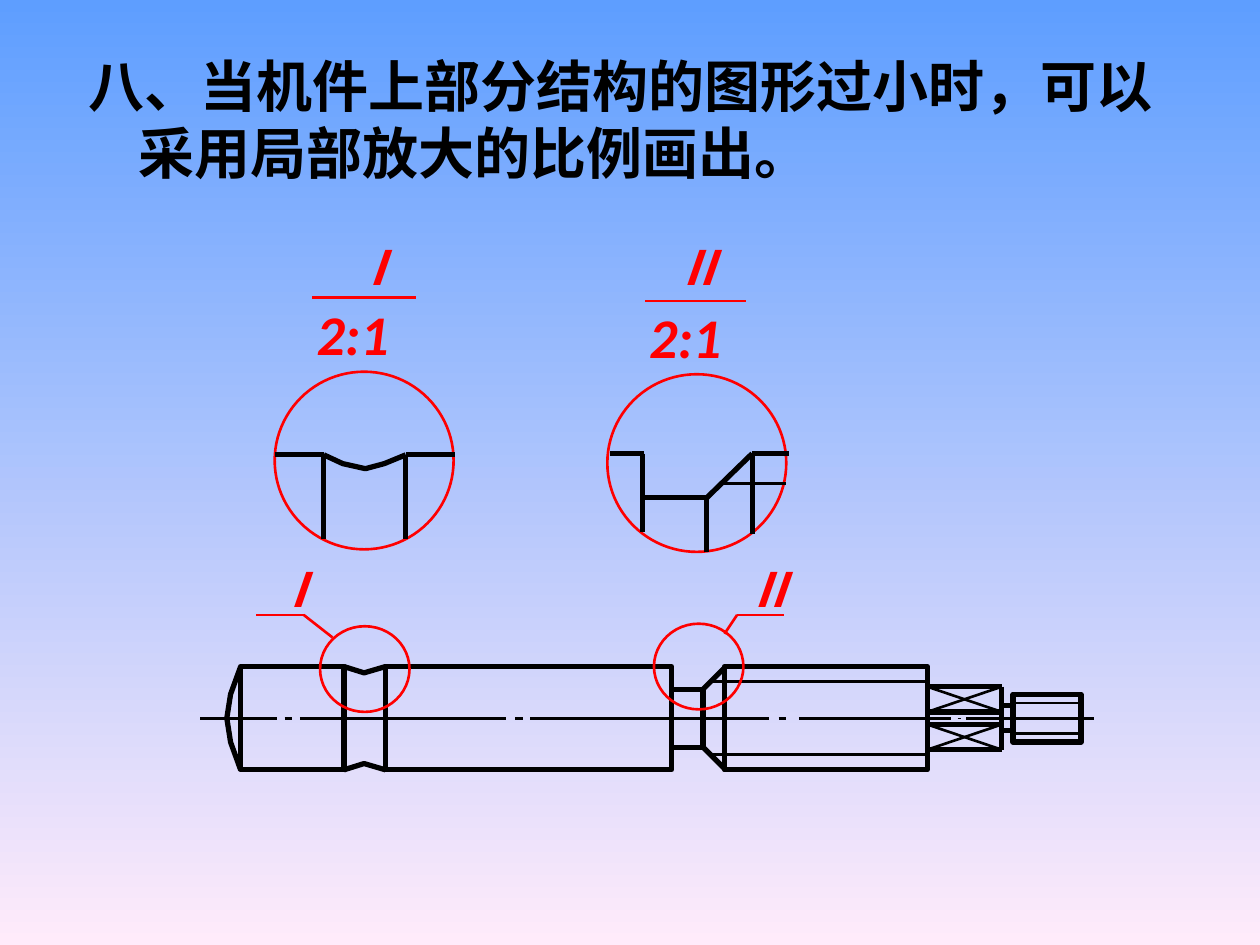
from dataclasses import dataclass
from itertools import pairwise

from lxml import etree
from pptx import Presentation
from pptx import util as u
from pptx.dml.color import RGBColor
from pptx.enum import shapes, text
from pptx.oxml.ns import qn


@dataclass(frozen=True)
class Theme:
    ink: str = "000000"
    mark: str = "FF0000"
    sky: tuple = ("5E9EFF", "FFEBFA")
    cjk: str = "Noto Sans CJK SC"
    latin: str = "Calibri"
    title: int = 32
    ratio: int = 32
    numeral: int = 27
    thick: float = 3
    thin: float = 1.5
    leading: float = 1.2


THEME = Theme()
WIDTH, HEIGHT = 10, 7.5
AXIS = 5.7
TITLE = [("八、当机件上部分结构的图形过小时，可以", 0), ("采用局部放大的比例画出。", 0.4)]

DETAILS = [
    {"numeral": "Ⅰ", "numeral_at": (2.8, 1.89), "ratio_at": (2.4, 2.38),
     "bar": [(2.48, 2.36), (3.3, 2.36)], "circle": (2.18, 2.95),
     "thick": [[(3.22, 3.61), (3.61, 3.61)], [(3.22, 3.61), (3.22, 4.28)],
               [(2.57, 3.61), (2.57, 4.28)], [(2.18, 3.61), (2.57, 3.61)],
               [(2.57, 3.61), (2.72, 3.68), (2.9, 3.72), (3.05, 3.68), (3.22, 3.61)]],
     "thin": [],
     "label_at": (2.18, 4.45), "leader": [(2.64, 5.06), (2.41, 4.88), (2.03, 4.88)],
     "spot": (2.54, 4.97)},
    {"numeral": "Ⅱ", "numeral_at": (5.36, 1.89), "ratio_at": (5.04, 2.4),
     "bar": [(5.12, 2.39), (5.92, 2.39)], "circle": (4.82, 2.97),
     "thick": [[(5.61, 3.95), (5.61, 4.38)], [(5.97, 3.6), (5.97, 4.24)],
               [(5.1, 3.6), (5.1, 4.22)], [(5.97, 3.6), (6.26, 3.6)],
               [(5.1, 3.95), (5.61, 3.95)], [(5.61, 3.95), (5.97, 3.6)],
               [(4.84, 3.6), (5.11, 3.6)]],
     "thin": [[(5.72, 3.84), (6.24, 3.84)]],
     "label_at": (5.92, 4.45), "leader": [(5.75, 5.03), (5.85, 4.88), (6.22, 4.88)],
     "spot": (5.19, 4.95)},
]
RATIO = "2:1"
CIRCLE, SPOT = (1.42, 1.41), (0.71, 0.68)

SECTIONS = [(8.04, 8.58, 0.19), (5.75, 7.36, 0.41), (1.91, 2.73, 0.41), (3.06, 5.33, 0.41)]
MIRRORED_THICK = [
    [(2.73, 0.41), (2.89, 0.36), (3.06, 0.41)],
    [(5.76, 0.41), (5.58, 0.23)], [(5.32, 0.23), (5.58, 0.23)],
    [(7.36, 0.25), (7.95, 0.25)], [(7.36, 0.05), (7.95, 0.05)],
    [(7.95, 0.1), (8.05, 0.1)],
]
MIRRORED_THIN = [
    [(5.63, 0.29), (7.36, 0.29)], [(8.05, 0.12), (8.59, 0.12)],
    [(7.36, 0.25), (7.95, 0.05)], [(7.36, 0.05), (7.95, 0.25)],
]
CENTRED_THICK = [
    [(1.91, -0.41), (1.83, -0.19), (1.8, 0), (1.83, 0.19), (1.91, 0.41)],
    [(5.58, -0.23), (5.58, 0.23)], [(7.95, -0.25), (7.95, 0.25)],
]
AXIS_DASHES = [(1.59, 2.2), (2.26, 2.32), (2.38, 4.02), (4.09, 4.15), (4.21, 6.1),
               (6.18, 6.24), (6.34, 7.55), (7.67, 8.68)]
AXIS_DOT = (7.6, 7.63)


def inches(*lengths):
    """Convert lengths to slide units."""
    return [u.Inches(length) for length in lengths]


def stroke(part, color, weight):
    """Give a part its line."""
    part.line.color.rgb = RGBColor.from_string(color)
    part.line.width = u.Pt(weight)


def draw_path(slide, points, color, weight):
    """Draw a straight line or an open outline through the points."""
    corners = [inches(*point) for point in points]
    if len(corners) == 2:
        line = slide.shapes.add_connector(shapes.MSO_CONNECTOR.STRAIGHT, *corners[0], *corners[1])
        etree.SubElement(line._element.spPr, qn("a:effectLst"))
    else:
        outline = slide.shapes.build_freeform(*corners[0])
        outline.add_line_segments(corners[1:], close=False)
        line = outline.convert_to_shape()
        line.fill.background()
        line.shadow.inherit = False
    stroke(line, color, weight)


def draw_preset(slide, kind, at, size, color, weight):
    """Draw an unfilled preset shape."""
    preset = slide.shapes.add_shape(kind, *inches(*at, *size))
    preset.fill.background()
    preset.shadow.inherit = False
    stroke(preset, color, weight)


def set_font(paragraph, face, size, color, italic=False):
    """Format a paragraph for both Latin and East Asian glyphs."""
    font = paragraph.font
    font.size, font.bold, font.italic = u.Pt(size), True, italic
    font.color.rgb = RGBColor.from_string(color)
    font.name = face
    etree.SubElement(paragraph._p.pPr.find(qn("a:defRPr")), qn("a:ea"), typeface=face)
    paragraph.line_spacing = u.Pt(size * THEME.leading)


def set_frame(frame, left, top):
    """Anchor a frame at the top with the given left and top margins."""
    frame.margin_left, frame.margin_top = inches(left, top)
    frame.margin_right = frame.margin_bottom = 0
    frame.word_wrap = False
    frame.auto_size = text.MSO_AUTO_SIZE.NONE
    frame.vertical_anchor = text.MSO_ANCHOR.TOP


def add_label(slide, wording, at, size, face, points):
    """Add a red italic label."""
    frame = slide.shapes.add_textbox(*inches(*at, *size)).text_frame
    set_frame(frame, 0, 0)
    label = frame.paragraphs[0]
    label.text = wording
    label.alignment = text.PP_ALIGN.CENTER
    set_font(label, face, points, THEME.mark, italic=True)


def add_title(slide):
    """Fill the title placeholder, indenting its second line."""
    title = slide.shapes.title
    title.left, title.top, title.width, title.height = inches(0.6, 0.36, 8.7, 1.17)
    frame = title.text_frame
    frame.text = "\n".join(wording for wording, _ in TITLE)
    set_frame(frame, 0.1, 0.05)
    for paragraph, (_, indent) in zip(frame.paragraphs, TITLE):
        paragraph.alignment = text.PP_ALIGN.LEFT
        paragraph.space_before = u.Pt(0)
        paragraph._p.get_or_add_pPr().set("marL", str(u.Inches(indent)))
        set_font(paragraph, THEME.cjk, THEME.title, THEME.ink)


def draw_detail(slide, detail):
    """Draw one enlarged view with its heading."""
    draw_preset(slide, shapes.MSO_SHAPE.OVAL, detail["circle"], CIRCLE, THEME.mark, THEME.thin)
    for weight in ("thick", "thin"):
        for points in detail[weight]:
            draw_path(slide, points, THEME.ink, getattr(THEME, weight))
    for place in ("numeral_at", "label_at"):
        add_label(slide, detail["numeral"], detail[place], (0.38, 0.45), THEME.cjk, THEME.numeral)
    add_label(slide, RATIO, detail["ratio_at"], (0.8, 0.53), THEME.latin, THEME.ratio)
    for segment in (detail["bar"], *pairwise(detail["leader"])):
        draw_path(slide, segment, THEME.mark, THEME.thin)


def draw_shaft(slide):
    """Draw the shaft symmetrically about its axis."""
    for left, right, half in SECTIONS:
        draw_preset(slide, shapes.MSO_SHAPE.RECTANGLE, (left, AXIS - half),
                    (right - left, 2 * half), THEME.ink, THEME.thick)
    for paths, sides, weight in ((MIRRORED_THICK, (-1, 1), THEME.thick),
                                 (CENTRED_THICK, (1,), THEME.thick),
                                 (MIRRORED_THIN, (-1, 1), THEME.thin)):
        for points in paths:
            for side in sides:
                draw_path(slide, [(x, AXIS + side * y) for x, y in points], THEME.ink, weight)
    for dashes, weight in ((AXIS_DASHES, THEME.thin), ([AXIS_DOT], 0.11)):
        for start, end in dashes:
            draw_path(slide, [(start, AXIS), (end, AXIS)], THEME.ink, weight)


def main():
    """Build the slide on enlarged detail views."""
    deck = Presentation()
    deck.slide_width, deck.slide_height = inches(WIDTH, HEIGHT)
    slide = deck.slides.add_slide(deck.slide_layouts.get_by_name("Title Only"))
    sky = slide.background.fill
    sky.gradient()
    sky.gradient_angle = 270
    for stop, color in zip(sky.gradient_stops, THEME.sky):
        stop.color.rgb = RGBColor.from_string(color)
    add_title(slide)
    for detail in DETAILS:
        draw_detail(slide, detail)
    draw_shaft(slide)
    for detail in DETAILS:
        draw_preset(slide, shapes.MSO_SHAPE.OVAL, detail["spot"], SPOT, THEME.mark, THEME.thin)
    deck.save("out.pptx")


if __name__ == "__main__":
    main()
